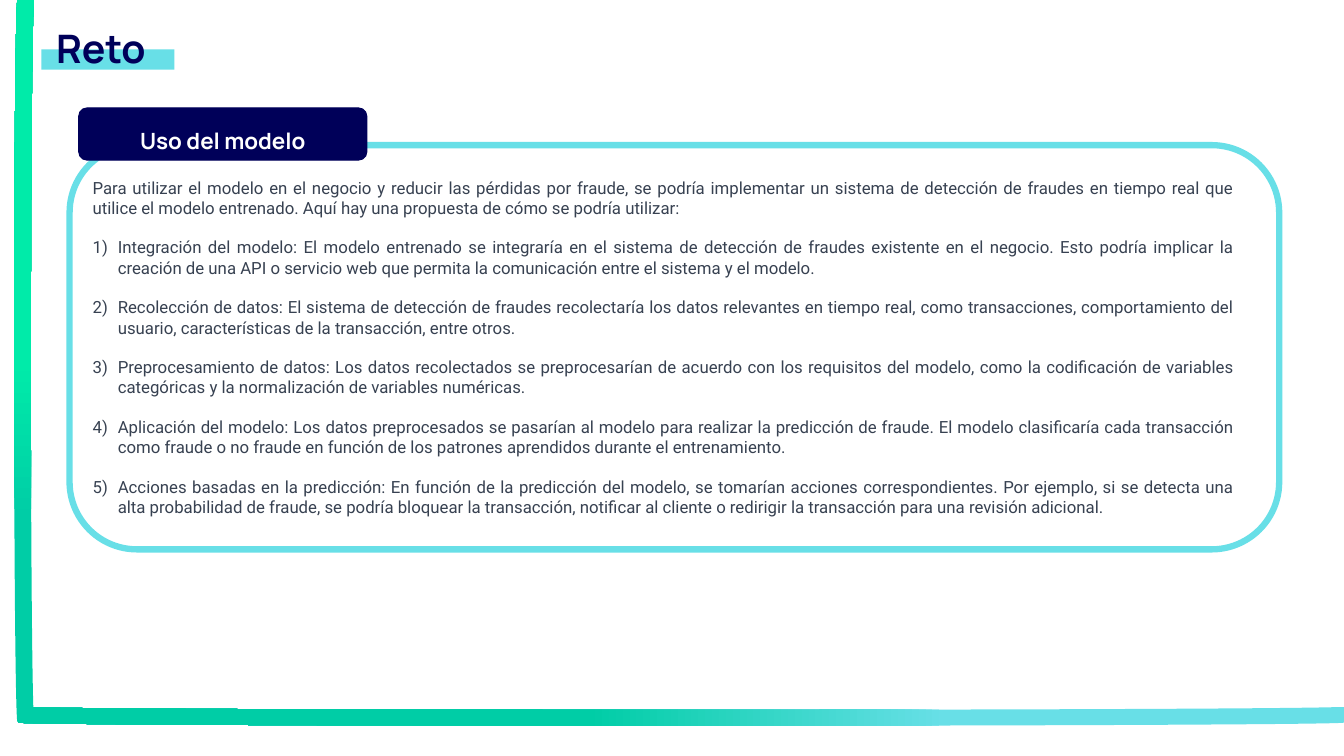
from dataclasses import dataclass

from lxml.etree import SubElement
from pptx import Presentation
from pptx.dml.color import RGBColor
from pptx.enum.shapes import MSO_SHAPE
from pptx.enum.text import MSO_ANCHOR, PP_ALIGN
from pptx.oxml.ns import qn
from pptx.util import Inches, Pt

WIDTH, HEIGHT = Inches(13.33), Inches(7.5)
COL, ROW = WIDTH / 100, HEIGHT / 100


@dataclass(frozen=True)
class Theme:
    navy: str = "000059"
    cyan: str = "68DFE7"
    teal: str = "00CDA6"
    green: str = "00EBA9"
    slate: str = "374151"
    white: str = "FFFFFF"
    head: str = "Manrope"
    body: str = "Roboto"
    title: int = 28
    label: int = 16
    text: int = 12


THEME = Theme()


@dataclass(frozen=True)
class Box:
    """An area in columns and rows, each a hundredth of the slide."""
    x: float
    y: float
    w: float
    h: float

    def inner(self, dx, dy, w, h):
        return Box(self.x + dx, self.y + dy, w, h)

    def place(self):
        return (round(self.x * COL), round(self.y * ROW),
                round(self.w * COL), round(self.h * ROW))


INTRO = ("Para utilizar el modelo en el negocio y reducir las pérdidas por fraude, "
         "se podría implementar un sistema de detección de fraudes en tiempo real "
         "que utilice el modelo entrenado. Aquí hay una propuesta de cómo se podría "
         "utilizar:")
STEPS = (
    "Integración del modelo: El modelo entrenado se integraría en el sistema de "
    "detección de fraudes existente en el negocio. Esto podría implicar la creación "
    "de una API o servicio web que permita la comunicación entre el sistema y el "
    "modelo.",
    "Recolección de datos: El sistema de detección de fraudes recolectaría los datos "
    "relevantes en tiempo real, como transacciones, comportamiento del usuario, "
    "características de la transacción, entre otros.",
    "Preprocesamiento de datos: Los datos recolectados se preprocesarían de acuerdo "
    "con los requisitos del modelo, como la codificación de variables categóricas y "
    "la normalización de variables numéricas.",
    "Aplicación del modelo: Los datos preprocesados se pasarían al modelo para "
    "realizar la predicción de fraude. El modelo clasificaría cada transacción como "
    "fraude o no fraude en función de los patrones aprendidos durante el "
    "entrenamiento.",
    "Acciones basadas en la predicción: En función de la predicción del modelo, se "
    "tomarían acciones correspondientes. Por ejemplo, si se detecta una alta "
    "probabilidad de fraude, se podría bloquear la transacción, notificar al cliente "
    "o redirigir la transacción para una revisión adicional.",
)


def paint(color):
    return RGBColor.from_string(color)


def write(para, text, *, font, size, color, bold=False, align=PP_ALIGN.CENTER,
          lead=None, after=0, number=False):
    para.alignment = align
    para.line_spacing = lead
    para.space_before, para.space_after = Pt(0), Pt(after)
    if number:
        props = para._p.get_or_add_pPr()
        props.set("marL", str(Inches(0.25)))
        props.set("indent", str(-Inches(0.25)))
        SubElement(props, qn("a:buFont"), typeface="+mj-lt")
        SubElement(props, qn("a:buAutoNum"), type="arabicParenR")
    run = para.add_run()
    run.text = text
    style = run.font
    style.name, style.size, style.bold = font, Pt(size), bold
    style.color.rgb = paint(color)


def draw(slide, kind, place, fill=None, line=None, weight=0.75):
    shape = slide.shapes.add_shape(kind, *place)
    shape.shadow.inherit = False
    if fill:
        shape.fill.solid()
        shape.fill.fore_color.rgb = paint(fill)
    else:
        shape.fill.background()
    if line:
        shape.line.color.rgb = paint(line)
        shape.line.width = Pt(weight)
    else:
        shape.line.fill.background()
    return shape


def stroke(slide, box, stops, flat=False):
    """Draw a brush stroke; a flat one is an upright one turned on its centre."""
    left, top, wide, high = box.place()
    if flat:
        shift = (wide - high) // 2
        left, top, wide, high = left + shift, top - shift, high, wide
    shape = draw(slide, MSO_SHAPE.FLOWCHART_STORED_DATA, (left, top, wide, high))
    shape.rotation = 270 if flat else 0
    shape.fill.gradient()
    shape.fill.gradient_angle = 90
    for stop, (share, color) in zip(shape.fill.gradient_stops, stops):
        stop.position = share
        stop.color.rgb = paint(color)


def frame(slide, box):
    stroke(slide, box.inner(1.05, 0, 1.5, 95.47),
           ((0.28, THEME.teal), (0.5, THEME.green)))
    stroke(slide, box.inner(1.35, 93.47, 98.65, 2.53),
           ((0.3, THEME.cyan), (0.57, THEME.teal)), flat=True)


def header(slide, box, text):
    draw(slide, MSO_SHAPE.RECTANGLE, box.inner(1.05, 7.06, 9.9, 2.67).place(),
         fill=THEME.cyan)
    title = slide.shapes.title
    title.left, title.top, title.width, title.height = box.place()
    title.text_frame.vertical_anchor = MSO_ANCHOR.TOP
    write(title.text_frame.paragraphs[0], text, font=THEME.head, size=THEME.title,
          color=THEME.navy, bold=True, lead=1.5)
    slide.shapes._spTree.append(title._element)  # bring in front of the bar


def panel(slide, box, label, intro, steps):
    area = slide.shapes.add_textbox(*box.inner(0.97, 3.6, 86.5, 49.87).place())
    body = area.text_frame
    body.word_wrap = True
    for i, text in enumerate((intro, *steps)):
        para = body.add_paragraph() if i else body.paragraphs[0]
        write(para, text, font=THEME.body, size=THEME.text, color=THEME.slate,
              align=PP_ALIGN.JUSTIFY, after=14 if i < len(steps) else 0,
              number=i > 0)
    draw(slide, MSO_SHAPE.ROUNDED_RECTANGLE, box.place(), line=THEME.cyan, weight=4.5)
    tab = draw(slide, MSO_SHAPE.ROUNDED_RECTANGLE,
               box.inner(0.67, -4.93, 21.45, 6.93).place(),
               fill=THEME.navy, line=THEME.navy)
    write(tab.text_frame.paragraphs[0], label, font=THEME.head, size=THEME.label,
          color=THEME.white, bold=True, lead=1.5)


def main():
    deck = Presentation()
    deck.slide_width, deck.slide_height = WIDTH, HEIGHT
    slide = deck.slides.add_slide(deck.slide_layouts[5])
    frame(slide, Box(0, 0, 100, 100))
    header(slide, Box(2.03, -0.53, 10.95, 9.87), "Reto")
    panel(slide, Box(5.18, 19.2, 90, 53.47), "Uso del modelo", INTRO, STEPS)
    deck.save("out.pptx")


if __name__ == "__main__":
    main()
